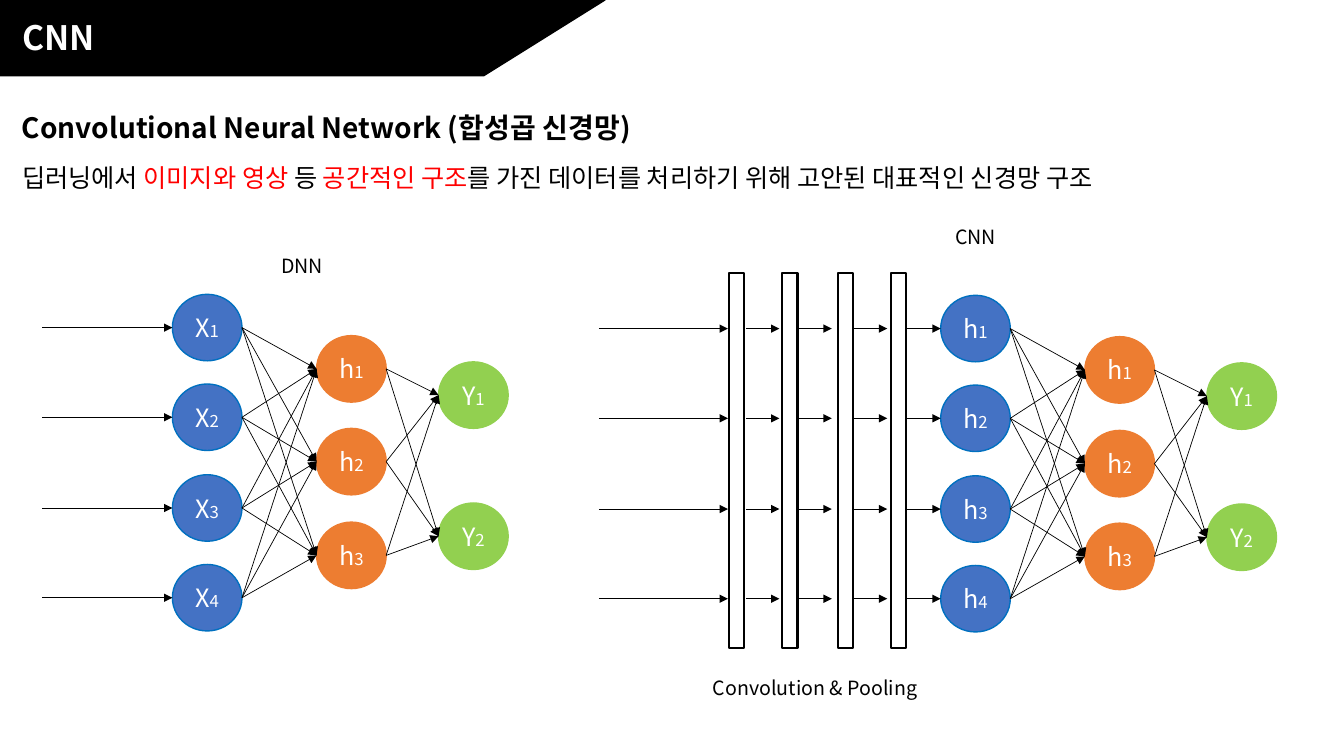
from lxml import etree
from pptx import Presentation
from pptx.dml.color import RGBColor
from pptx.enum.shapes import MSO_CONNECTOR, MSO_SHAPE
from pptx.enum.text import MSO_ANCHOR, MSO_AUTO_SIZE, PP_ALIGN
from pptx.oxml.ns import qn
from pptx.util import Pt

EMU_PER_PX = 9144  # 100 px to the inch
FONT = "Noto Sans CJK KR"
BLACK, WHITE, RED = "000000", "FFFFFF", "FF0000"
BLUE, BLUE_EDGE, ORANGE, GREEN = "4472C4", "0070C0", "ED7D31", "92D050"

RECTANGLE, OVAL = MSO_SHAPE.RECTANGLE, MSO_SHAPE.OVAL
PARALLELOGRAM = MSO_SHAPE.FLOWCHART_DATA
STRAIGHT = MSO_CONNECTOR.STRAIGHT
TOP, MIDDLE = MSO_ANCHOR.TOP, MSO_ANCHOR.MIDDLE
LEFT, CENTER = PP_ALIGN.LEFT, PP_ALIGN.CENTER
NO_AUTOFIT = MSO_AUTO_SIZE.NONE

NODE_WIDTH, NODE_HEIGHT = 69, 66
TITLE_ONLY_LAYOUT = 5


def px(length):
    return round(length * EMU_PER_PX)


def color(hex_string):
    return RGBColor.from_string(hex_string)


def write(frame, runs, align=LEFT, anchor=TOP, wrap=True):
    """Fill a text frame with runs of (text, size, color, bold)."""
    frame.auto_size = NO_AUTOFIT
    frame.word_wrap = wrap
    frame.vertical_anchor = anchor
    paragraph = frame.paragraphs[0]
    paragraph.alignment = align
    for text, size, hex_string, bold in runs:
        run = paragraph.add_run()
        run.text = text
        run.font.size = Pt(size)
        run.font.bold = bold
        run.font.color.rgb = color(hex_string)
        run.font.name = FONT
        properties = run.font.fill._xPr
        etree.SubElement(properties, qn("a:ea"), typeface=FONT)


def add_text(slide, box, runs, align=LEFT):
    text_box = slide.shapes.add_textbox(*map(px, box))
    write(text_box.text_frame, runs, align)


def add_outlined(slide, kind, box, fill, edge, edge_width=1):
    shape = slide.shapes.add_shape(kind, *map(px, box))
    shape.shadow.inherit = False
    if fill:
        shape.fill.solid()
        shape.fill.fore_color.rgb = color(fill)
    else:
        shape.fill.background()
    shape.line.color.rgb = color(edge)
    shape.line.width = Pt(edge_width)
    return shape


def add_arrow(slide, start, end):
    arrow = slide.shapes.add_connector(STRAIGHT, *map(px, (*start, *end)))
    arrow.line.color.rgb = color(BLACK)
    arrow.line.width = Pt(0.5)
    etree.SubElement(arrow.line._get_or_add_ln(), qn("a:tailEnd"), type="triangle")
    etree.SubElement(arrow.element.spPr, qn("a:effectLst"))


def spread(first, last, count):
    """Evenly spaced whole positions from first to last."""
    return [round(first + (last - first) * i / (count - 1)) for i in range(count)]


def add_layer(slide, left, centers, letter, fill, edge):
    for number, center in enumerate(centers, 1):
        box = (left, center - NODE_HEIGHT // 2, NODE_WIDTH, NODE_HEIGHT)
        node = add_outlined(slide, OVAL, box, fill, edge)
        label = [(letter, 18, WHITE, False), (str(number), 12, WHITE, False)]
        write(node.text_frame, label, CENTER, MIDDLE, wrap=False)


def add_network(slide, left, top, input_letter):
    """Draw three fully connected layers and return the input row heights."""
    layers = [
        (left, spread(top, top + 268, 4), input_letter, BLUE, BLUE_EDGE),
        (left + 143, spread(top + 41, top + 226, 3), "h", ORANGE, ORANGE),
        (left + 264, spread(top + 67, top + 207, 2), "Y", GREEN, GREEN),
    ]
    for layer in layers:
        add_layer(slide, *layer)
    for source, target in zip(layers, layers[1:]):
        for source_y in source[1]:
            for target_y in target[1]:
                add_arrow(slide, (source[0] + NODE_WIDTH, source_y), (target[0], target_y))
    return layers[0][1]


def add_row_arrows(slide, rows, start_x, end_x):
    for row in rows:
        add_arrow(slide, (start_x, row), (end_x, row))


def add_header(slide):
    for kind, width in ((RECTANGLE, 198), (PARALLELOGRAM, 600)):
        add_outlined(slide, kind, (0, 0, width, 75), BLACK, BLACK)
    title = slide.shapes.title
    title.left, title.top, title.width, title.height = map(px, (12, 12, 371, 50))
    write(title.text_frame, [("CNN", 24, WHITE, True)])
    title.element.getparent().append(title.element)  # in front of the banner


def add_definition(slide):
    heading = "Convolutional Neural Network (합성곱 신경망)"
    add_text(slide, (12, 105, 844, 44), [(heading, 20, BLACK, True)])
    phrases = [
        ("딥러닝에서 ", BLACK),
        ("이미지와 영상 ", RED),
        ("등 ", BLACK),
        ("공간적인 구조", RED),
        ("를 가진 데이터를 처리하기 위해 고안된 대표적인 신경망 구조", BLACK),
    ]
    runs = [(text, 18, hex_string, False) for text, hex_string in phrases]
    add_text(slide, (12, 156, 1285, 40), runs)


def add_dnn(slide):
    rows = add_network(slide, 171, 325, "X")
    add_row_arrows(slide, rows, 42, 171)


def add_cnn(slide):
    rows = add_network(slide, 933, 326, "h")
    for bar_left in (723, 776, 831, 884):
        add_outlined(slide, RECTANGLE, (bar_left, 271, 15, 372), None, BLACK, 1.5)
    add_row_arrows(slide, rows, 594, 722)
    for gap_left in (740, 792, 847, 900):
        add_row_arrows(slide, rows, gap_left, gap_left + 33)


def main():
    presentation = Presentation()
    presentation.slide_width, presentation.slide_height = px(1333), px(750)
    slide = presentation.slides.add_slide(presentation.slide_layouts[TITLE_ONLY_LAYOUT])
    add_header(slide)
    add_definition(slide)
    add_dnn(slide)
    add_cnn(slide)
    captions = [
        ("DNN", (265, 247, 69, 34)),
        ("CNN", (933, 218, 69, 34)),
        ("Convolution & Pooling", (691, 666, 235, 34)),
    ]
    for caption, box in captions:
        add_text(slide, box, [(caption, 14, BLACK, False)], CENTER)
    presentation.save("out.pptx")


if __name__ == "__main__":
    main()
